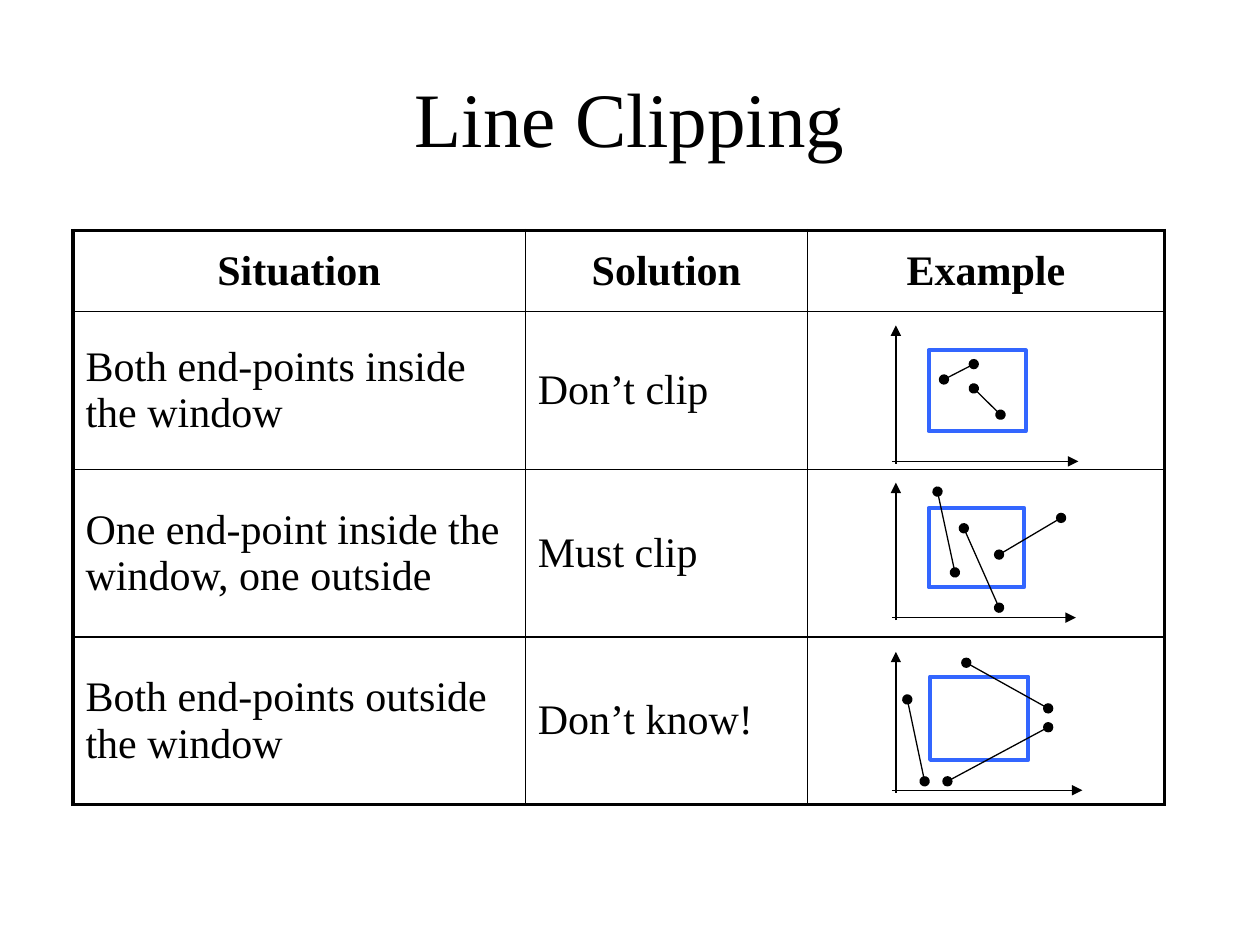
from dataclasses import dataclass

import lxml.etree
import pptx
import pptx.dml.color
import pptx.enum.shapes
import pptx.enum.text
import pptx.oxml
import pptx.oxml.ns
import pptx.util
from pptx.util import Cm, Pt

RGB = pptx.dml.color.RGBColor
ALIGN = pptx.enum.text.PP_ALIGN
MIDDLE = pptx.enum.text.MSO_ANCHOR.MIDDLE
qn = pptx.oxml.ns.qn


@dataclass(frozen=True)
class Theme:
    font: str = "Times New Roman"
    ink: RGB = RGB(0, 0, 0)
    blue: RGB = RGB(0x33, 0x66, 0xFF)
    title: int = 44
    body: int = 24
    thick: float = 2.25
    rule: float = 1
    thin: float = 0.75


THEME = Theme()

ROWS = [
    ("Situation", "Solution", "Example"),
    ("Both end-points inside the window", "Don’t clip", ""),
    ("One end-point inside the window, one outside", "Must clip", ""),
    ("Both end-points outside the window", "Don’t know!", ""),
]
WIDTHS = (9.12, 5.69, 7.19)
HEIGHTS = (1.63, 3.18, 3.38, 3.38)

AXIS_X = 18.06


@dataclass(frozen=True)
class Sketch:
    """Lengths in cm; points run right and up from the axes' origin."""
    base: float
    size: tuple
    window: tuple  # left, top, width, height
    lines: tuple


SKETCHES = (
    Sketch(9.3, (3.68, 2.74), (0.66, 2.24, 1.96, 1.63),
           (((0.97, 1.65), (1.57, 1.96)),
            ((1.57, 1.47), (2.11, 0.94)))),
    Sketch(12.45, (3.63, 2.72), (0.66, 2.21, 1.93, 1.6),
           (((2.08, 1.27), (3.33, 2.01)),
            ((1.37, 1.8), (2.08, 0.2)),
            ((0.84, 2.54), (1.19, 0.91)))),
    Sketch(15.93, (3.76, 2.79), (0.69, 2.29, 1.98, 1.68),
           (((1.42, 2.57), (3.07, 1.65)),
            ((1.04, 0.18), (3.07, 1.27)),
            ((0.23, 1.83), (0.58, 0.18)))),
)


def style(para, size, align, bold=False):
    para.alignment = align
    para.font.name = THEME.font
    para.font.size = Pt(size)
    para.font.bold = bold
    para.font.color.rgb = THEME.ink


def add_title(slide, text):
    title = slide.shapes.title
    title.left, title.top = Cm(1.27), Cm(0.76)
    title.width, title.height = Cm(22.86), Cm(3.18)
    frame = title.text_frame
    frame.text = text
    frame.vertical_anchor = MIDDLE
    style(frame.paragraphs[0], THEME.title, ALIGN.CENTER)


def set_edges(cell, widths):
    """Draw cell borders; widths are points for left, right, top, bottom."""
    props = cell._tc.get_or_add_tcPr()
    for i, (side, width) in enumerate(zip("LRTB", widths)):
        edge = pptx.oxml.parse_xml(
            f'<a:ln{side} xmlns:a="{pptx.oxml.ns.nsdecls("a").split(chr(34))[1]}" '
            f'w="{Pt(width)}"><a:solidFill><a:srgbClr val="{THEME.ink}"/>'
            f'</a:solidFill></a:ln{side}>')
        props.insert(i, edge)


def add_grid(slide):
    frame = slide.shapes.add_table(
        len(ROWS), len(WIDTHS), Cm(1.47), Cm(4.65),
        Cm(sum(WIDTHS)), Cm(sum(HEIGHTS)))
    table = frame.table
    table.first_row = table.horz_banding = False
    for col, width in zip(table.columns, WIDTHS):
        col.width = Cm(width)
    for row, height in zip(table.rows, HEIGHTS):
        row.height = Cm(height)
    for r, texts in enumerate(ROWS):
        for c, text in enumerate(texts):
            cell = table.cell(r, c)
            cell.text = text
            cell.vertical_anchor = MIDDLE
            cell.fill.background()
            head = r == 0
            style(cell.text_frame.paragraphs[0], THEME.body,
                  ALIGN.CENTER if head else ALIGN.LEFT, head)
            outer = (c == 0, c == len(WIDTHS) - 1, head, r == len(ROWS) - 1)
            set_edges(cell, [THEME.thick if out else THEME.rule
                             for out in outer])


def add_line(group, start, end, tail, head=None):
    line = group.shapes.add_connector(
        pptx.enum.shapes.MSO_CONNECTOR.STRAIGHT,
        *(Cm(v) for v in (*start, *end)))
    line.line.color.rgb = THEME.ink
    line.line.width = Pt(THEME.thin)
    stroke = line.line._get_or_add_ln()
    for tag, kind in (("a:headEnd", head), ("a:tailEnd", tail)):
        if kind:
            lxml.etree.SubElement(stroke, qn(tag), type=kind)
    lxml.etree.SubElement(line._element.spPr, qn("a:effectLst"))


def add_window(group, left, top, width, height):
    box = group.shapes.add_shape(
        pptx.enum.shapes.MSO_SHAPE.RECTANGLE,
        Cm(left), Cm(top), Cm(width), Cm(height))
    box.shadow.inherit = False
    box.fill.background()
    box.line.color.rgb = THEME.blue
    box.line.width = Pt(THEME.thick)


def add_sketch(slide, sketch):
    def place(x, y):
        return AXIS_X + x, sketch.base - y

    group = slide.shapes.add_group_shape()
    right, high = sketch.size
    add_line(group, place(-0.08, 0), place(right, 0), "triangle")
    add_line(group, place(0, -0.05), place(0, high), "triangle")
    left, top, width, height = sketch.window
    add_window(group, *place(left, top), width, height)
    for start, end in sketch.lines:
        add_line(group, place(*start), place(*end), "oval", "oval")


def main():
    deck = pptx.Presentation()
    deck.slide_width, deck.slide_height = Cm(25.4), Cm(19.05)
    slide = deck.slides.add_slide(deck.slide_layouts.get_by_name("Title Only"))
    add_title(slide, "Line Clipping")
    add_grid(slide)
    for sketch in SKETCHES:
        add_sketch(slide, sketch)
    deck.save("out.pptx")


if __name__ == "__main__":
    main()
